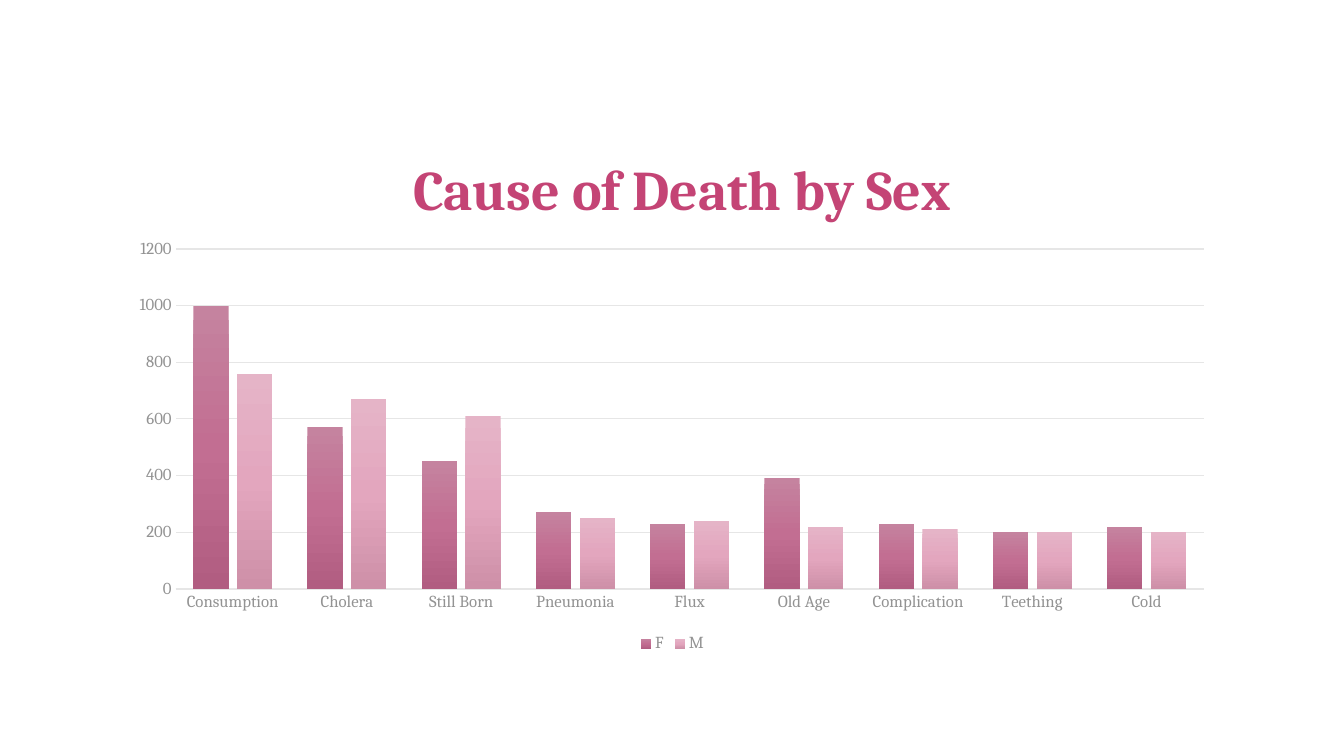
from dataclasses import dataclass

from lxml import etree
from pptx import Presentation
from pptx.chart.data import CategoryChartData
from pptx.dml.color import RGBColor
from pptx.enum.chart import XL_CHART_TYPE as ChartType
from pptx.enum.chart import XL_LEGEND_POSITION as LegendPosition
from pptx.enum.chart import XL_TICK_MARK as TickMark
from pptx.oxml import parse_xml
from pptx.oxml.ns import nsdecls, qn
from pptx.util import Inches, Pt

FONT = "Cambria"
ROSE = RGBColor(0xC4, 0x44, 0x75)
LABEL_GREY = RGBColor(0x93, 0x93, 0x93)
TEXT_GREY = RGBColor(0x59, 0x59, 0x59)
LINE_GREY = RGBColor(0xE6, 0xE6, 0xE6)

SLIDE_WIDTH, SLIDE_HEIGHT = Inches(13.33), Inches(7.5)
CHART_LEFT, CHART_TOP = 1.17 / 13.33, 1.15 / 7.5
CHART_WIDTH, CHART_HEIGHT = 11 / 13.33, 5.37 / 7.5

CAUSES = ("Consumption", "Cholera", "Still Born", "Pneumonia", "Flux",
          "Old Age", "Complication", "Teething", "Cold")


@dataclass(frozen=True)
class Sex:
    name: str
    deaths: tuple[int, ...]
    shades: tuple[RGBColor, ...]


SEXES = (
    Sex("F", (1000, 570, 450, 270, 230, 390, 230, 200, 220),
        (RGBColor(0xC5, 0x83, 0x9F), RGBColor(0xC2, 0x6E, 0x92), RGBColor(0xB1, 0x5D, 0x81))),
    Sex("M", (760, 670, 610, 250, 240, 220, 210, 200, 200),
        (RGBColor(0xE5, 0xB4, 0xC7), RGBColor(0xE3, 0xA6, 0xBE), RGBColor(0xCE, 0x90, 0xA8))),
)


def style_font(font, size: int, colour: RGBColor, bold: bool = False) -> None:
    for key, value in {"name": FONT, "size": Pt(size), "bold": bold}.items():
        setattr(font, key, value)
    font.color.rgb = colour


def style_line(line, width: float) -> None:
    line.color.rgb = LINE_GREY
    line.width = Pt(width)


def set_layout(parent, index: int, **shares: float) -> None:
    """Place a chart part by shares of the chart's size."""
    for old in parent.findall(qn("c:layout")):
        parent.remove(old)
    layout = parse_xml(f"<c:layout {nsdecls('c')}/>")
    manual = etree.SubElement(layout, qn("c:manualLayout"))
    settings = {"xMode": "edge", "yMode": "edge", **shares}
    if "w" in shares:
        settings = {"layoutTarget": "inner", **settings}
    for tag, value in settings.items():
        etree.SubElement(manual, qn(f"c:{tag}"), val=str(value))
    parent.insert(index, layout)


def fill_gradient(series, shades: tuple[RGBColor, ...]) -> None:
    """Fill the columns from top to bottom with evenly spaced shades."""
    step = 100000 // (len(shades) - 1)
    stops = "".join(f'<a:gs pos="{step * place}"><a:srgbClr val="{shade}"/></a:gs>'
                    for place, shade in enumerate(shades))
    series.format.fill.background()
    properties = series._element.get_or_add_spPr()
    properties.replace(properties.find(qn("a:noFill")), parse_xml(
        f'<a:gradFill {nsdecls("a")} rotWithShape="1"><a:gsLst>{stops}</a:gsLst>'
        '<a:lin ang="5400000" scaled="0"/></a:gradFill>'))


def add_deaths_chart(page):
    data = CategoryChartData()
    data.categories = CAUSES
    for sex in SEXES:
        data.add_series(sex.name, sex.deaths)
    frame = page.shapes.add_chart(
        ChartType.COLUMN_CLUSTERED,
        round(SLIDE_WIDTH * CHART_LEFT), round(SLIDE_HEIGHT * CHART_TOP),
        round(SLIDE_WIDTH * CHART_WIDTH), round(SLIDE_HEIGHT * CHART_HEIGHT), data)
    chart = frame.chart
    style_font(chart.font, 10, TEXT_GREY)
    plot = chart.plots[0]
    for key, value in {"gap_width": 100, "overlap": -24, "vary_by_categories": False}.items():
        setattr(plot, key, value)
    for series, sex in zip(plot.series, SEXES):
        fill_gradient(series, sex.shades)
    set_layout(chart.element.chart.plotArea, 0, x=0.052, y=0.246, w=0.927, h=0.628)
    return chart


def style_title(chart) -> None:
    chart.has_title = True
    title = chart.chart_title
    para = title.text_frame.paragraphs[0]
    span = para.add_run()
    span.text = "Cause of Death by Sex"
    style_font(span.font, 40, ROSE, bold=True)
    set_layout(title.element, 1, x=0.257, y=0.05)


def style_axes(chart) -> None:
    for axis in (chart.category_axis, chart.value_axis):
        axis.major_tick_mark = axis.minor_tick_mark = TickMark.NONE
        style_font(axis.tick_labels.font, 12, LABEL_GREY)
    style_line(chart.category_axis.format.line, 1)
    deaths_axis = chart.value_axis
    for key, value in {"minimum_scale": 0, "maximum_scale": 1200, "major_unit": 200}.items():
        setattr(deaths_axis, key, value)
    deaths_axis.format.line.fill.background()
    style_line(deaths_axis.major_gridlines.format.line, 0.75)


def style_legend(chart) -> None:
    chart.has_legend = True
    chart.legend.position = LegendPosition.BOTTOM
    chart.legend.include_in_layout = False
    style_font(chart.legend.font, 12, LABEL_GREY)


def main() -> None:
    deck = Presentation()
    deck.slide_width, deck.slide_height = SLIDE_WIDTH, SLIDE_HEIGHT
    page = deck.slides.add_slide(deck.slide_layouts[6])
    chart = add_deaths_chart(page)
    style_title(chart)
    style_axes(chart)
    style_legend(chart)
    deck.save("out.pptx")


if __name__ == "__main__":
    main()
